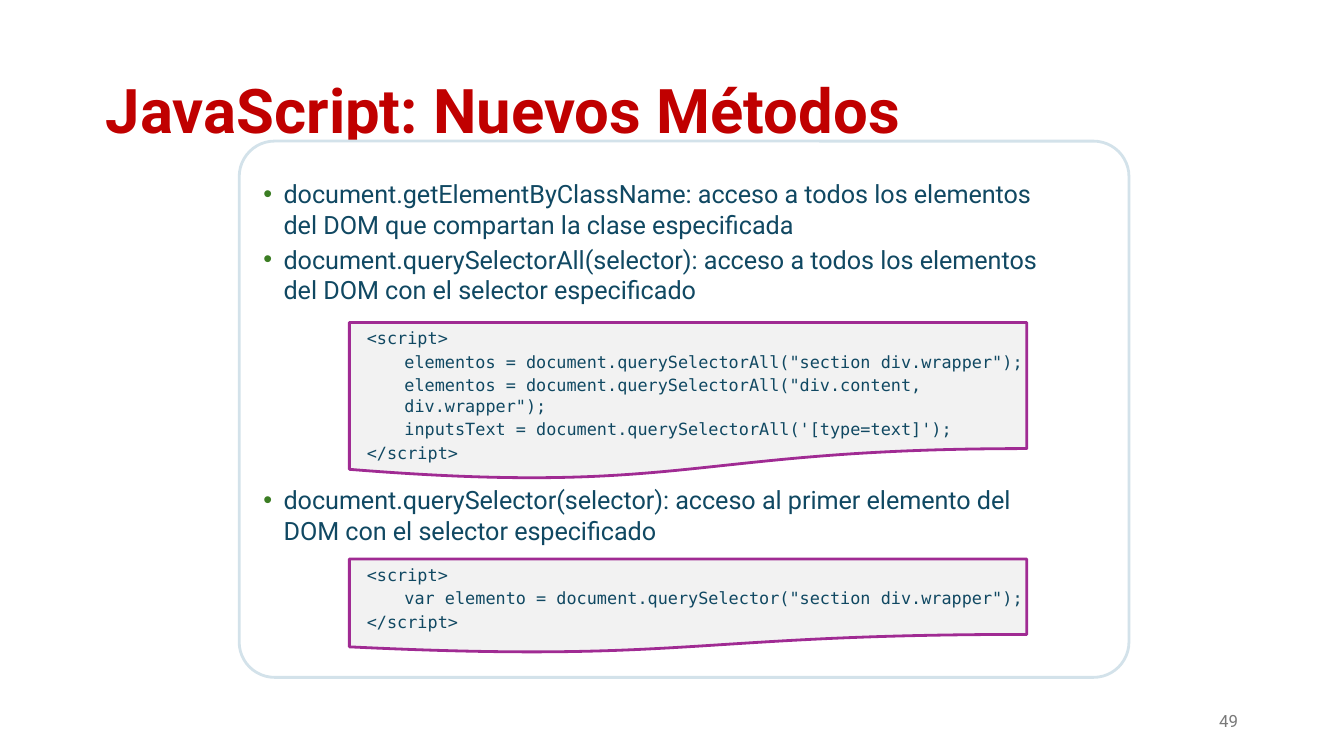
from lxml import etree
from pptx import Presentation
from pptx.dml.color import RGBColor
from pptx.enum import shapes, text
from pptx.oxml.ns import qn
from pptx.util import Inches, Pt

INK = "104862"
CODE_LEFT, CODE_WIDTH = 2.6, 5.04


def color(hex_code):
    return RGBColor.from_string(hex_code)


def add_panel(slide, kind, box, fill, line):
    panel = slide.shapes.add_shape(kind, *map(Inches, box))
    panel.shadow.inherit = False
    panel.fill.solid()
    panel.fill.fore_color.rgb = color(fill)
    panel.line.color.rgb = color(line)
    panel.line.width = Pt(1.5)
    return panel


def add_text(slide, box, lines, size, ink=INK, face="Roboto", bold=False,
             anchor=text.MSO_ANCHOR.TOP, inset=(0.07, 0.04)):
    """Add a wrapped text box and return its paragraphs, one per line."""
    frame = slide.shapes.add_textbox(*map(Inches, box)).text_frame
    frame.word_wrap = True
    frame.vertical_anchor = anchor
    frame.margin_left = frame.margin_right = Inches(inset[0])
    frame.margin_top = frame.margin_bottom = Inches(inset[1])
    frame.text = "\n".join(lines)
    for index, paragraph in enumerate(frame.paragraphs):
        if index:
            paragraph.space_before = Pt(0.2 * size)
        paragraph.font.size = Pt(size)
        paragraph.font.name = face
        paragraph.font.bold = bold
        paragraph.font.color.rgb = color(ink)
    return frame.paragraphs


def add_bullets(slide, box, items):
    paragraphs = add_text(slide, box, items, 13.5)
    for paragraph in paragraphs:
        properties = paragraph._p.get_or_add_pPr()
        properties.set("marL", str(Inches(0.15)))
        properties.set("indent", str(-Inches(0.15)))
        bullet_color = etree.Element(qn("a:buClr"))
        etree.SubElement(bullet_color, qn("a:srgbClr"), val="3B7D23")
        defaults = properties.find(qn("a:defRPr"))
        for element in (bullet_color,
                        etree.Element(qn("a:buFont"), typeface="Arial"),
                        etree.Element(qn("a:buChar"), char="•")):
            defaults.addprevious(element)
    return paragraphs


def add_code(slide, top, height, statements):
    """Add a document-shaped panel with statements inside a script tag."""
    add_panel(slide, shapes.MSO_SHAPE.FLOWCHART_DOCUMENT,
              (CODE_LEFT, top, CODE_WIDTH, height), "F2F2F2", "A02B93")
    lines = ["<script>", *statements, "</script>"]
    paragraphs = add_text(slide, (CODE_LEFT + 0.06, top, 5.33, height), lines,
                          9, face="DejaVu Sans Mono")
    for paragraph in paragraphs[1:-1]:
        paragraph._p.get_or_add_pPr().set("marL", str(Inches(0.28)))


def main():
    deck = Presentation()
    deck.slide_width = Inches(10)
    deck.slide_height = deck.slide_width * 9 // 16
    slide = deck.slides.add_slide(deck.slide_layouts[6])

    middle = text.MSO_ANCHOR.MIDDLE
    title = add_text(slide, (0.69, 0.3, 8.62, 1.09),
                     ["JavaScript: Nuevos Métodos"], 33, "C00000", bold=True,
                     anchor=middle, inset=(0.1, 0.05))
    title[0].line_spacing = 0.9
    number = add_text(slide, (7.06, 5.21, 2.25, 0.3), ["49"], 9, "797979",
                      anchor=middle, inset=(0.1, 0.05))
    number[0].alignment = text.PP_ALIGN.RIGHT

    card = add_panel(slide, shapes.MSO_SHAPE.ROUNDED_RECTANGLE,
                     (1.78, 1.05, 6.62, 3.99), "FFFFFF", "D3E2EA")
    card.adjustments[0] = 0.066

    methods = add_bullets(slide, (1.89, 1.29, 5.98, 2.93), [
        "document.getElementByClassName: acceso a todos los elementos "
        "del DOM que compartan la clase especificada",
        "document.querySelectorAll(selector): acceso a todos los elementos "
        "del DOM con el selector especificado",
        "document.querySelector(selector): acceso al primer elemento del "
        "DOM con el selector especificado",
    ])
    methods[2].space_before = Pt(96.5)  # room for the first code panel

    add_code(slide, 2.4, 1.17, [
        'elementos = document.querySelectorAll("section div.wrapper");',
        'elementos = document.querySelectorAll("div.content, div.wrapper");',
        "inputsText = document.querySelectorAll('[type=text]');",
    ])
    add_code(slide, 4.16, 0.7, [
        'var elemento = document.querySelector("section div.wrapper");',
    ])
    deck.save("out.pptx")


if __name__ == "__main__":
    main()
